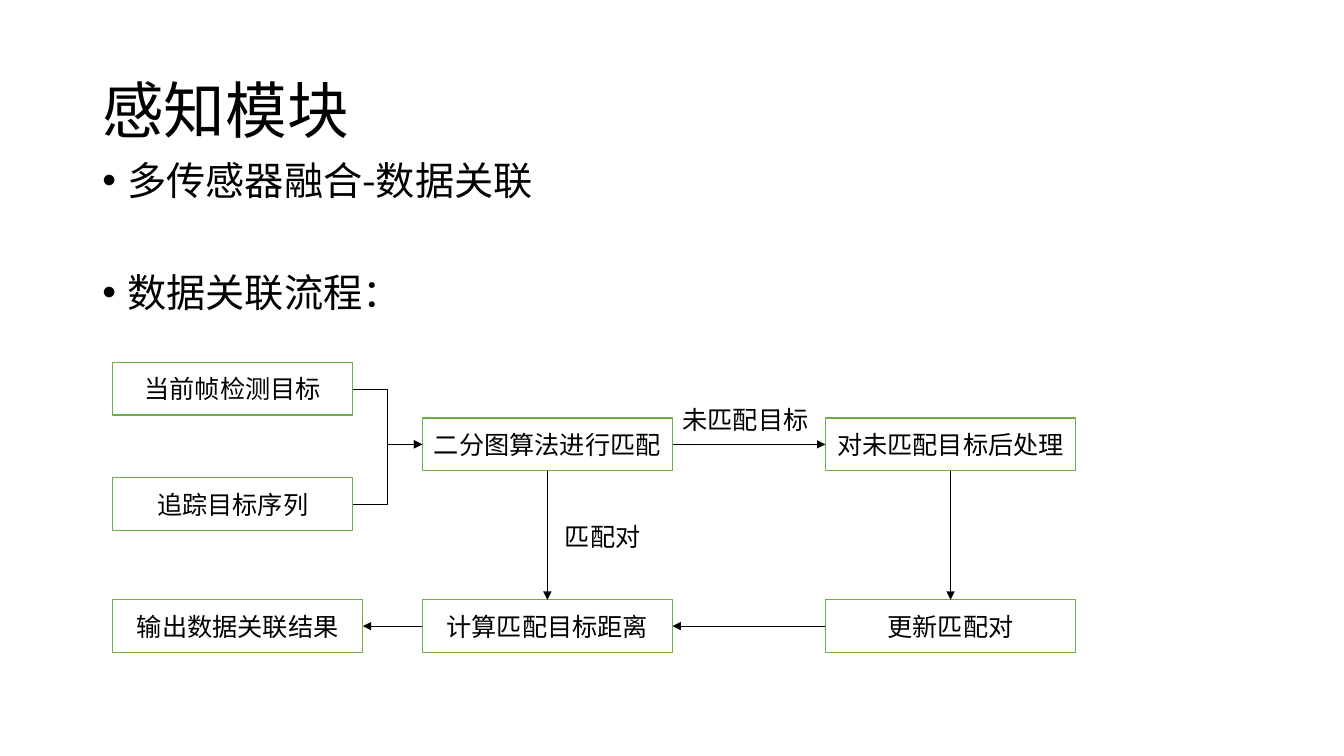
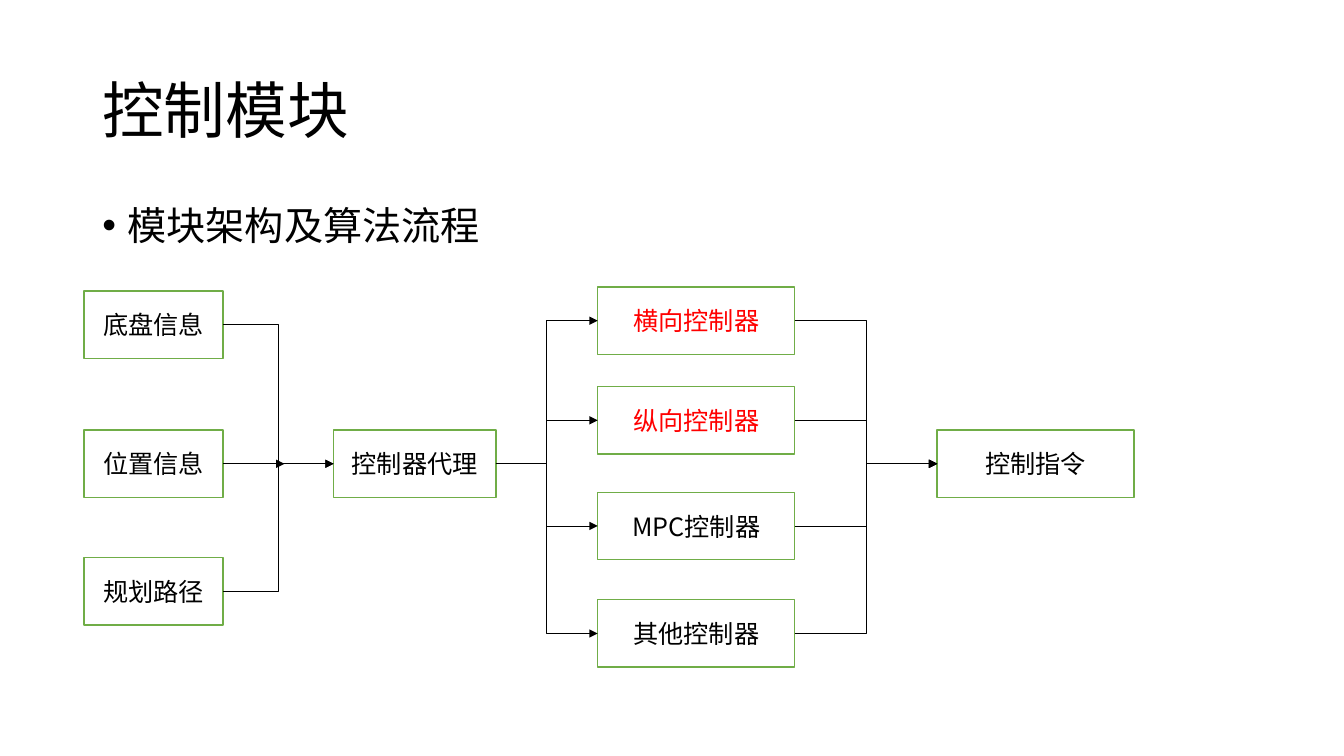
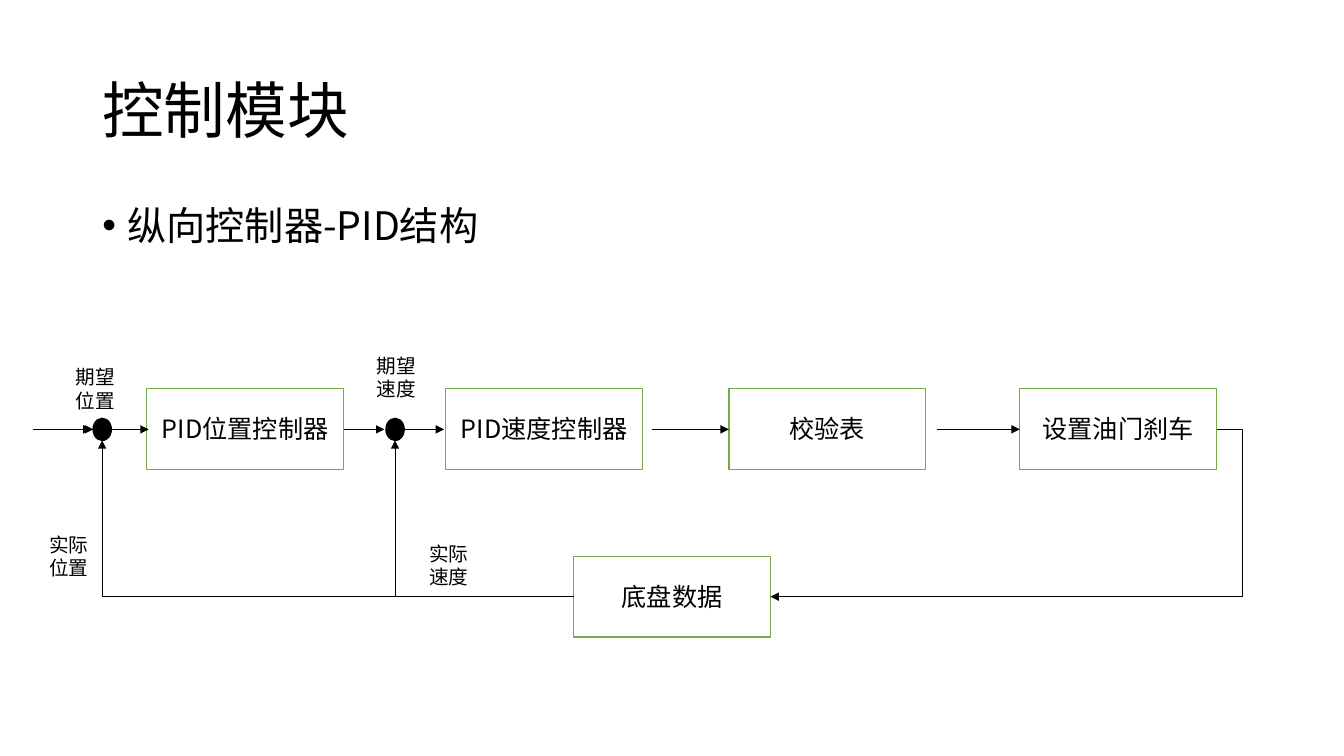
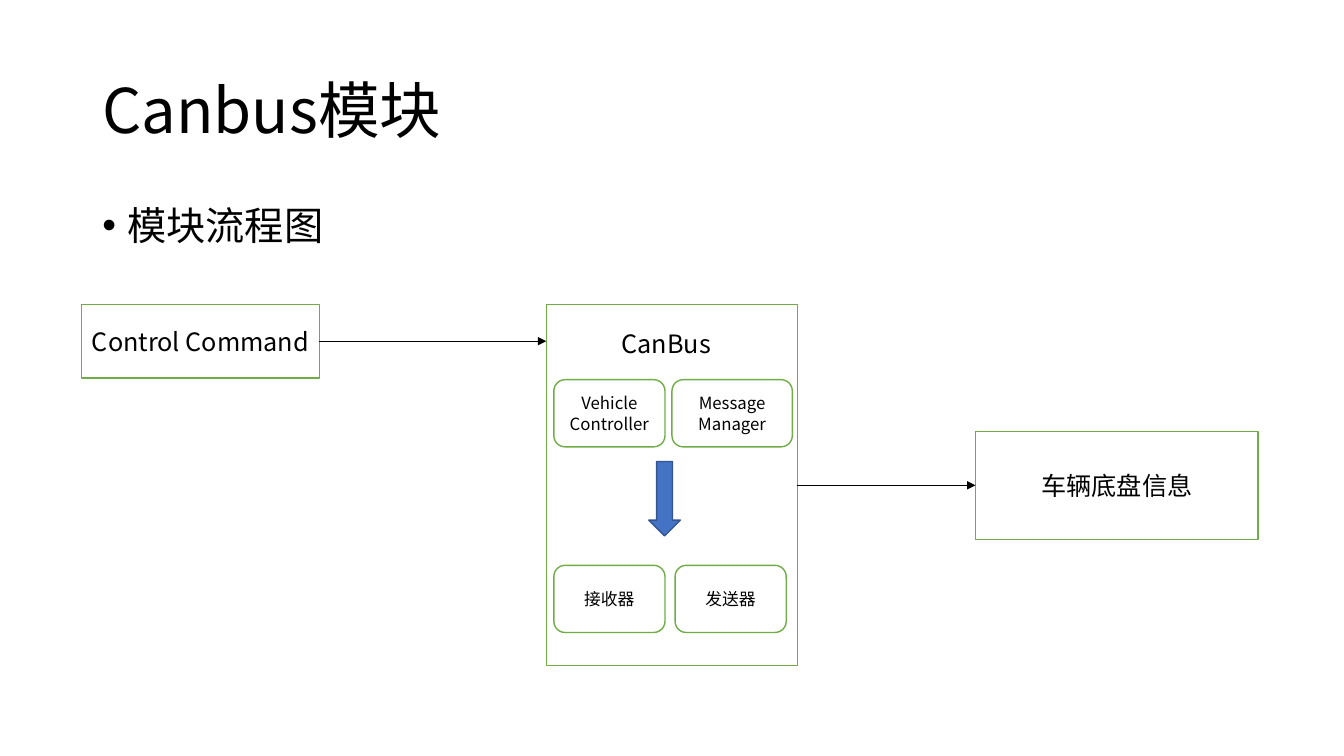
from dataclasses import dataclass

from lxml import etree
from pptx import Presentation
from pptx.dml.color import RGBColor
from pptx.enum import shapes, text
from pptx.oxml import ns
from pptx.util import Pt


@dataclass(frozen=True)
class Theme:
    font: str = "Noto Sans CJK SC"
    ink: str = "000000"
    paper: str = "FFFFFF"
    green: str = "70AD47"
    red: str = "FF0000"
    blue: str = "4472C4"
    blue_edge: str = "325491"
    title: int = 44
    body: int = 28
    label: int = 18
    note: int = 14
    small: int = 12
    edge: float = 1
    wire: float = 0.5
    leading: float = 0.9


@dataclass(frozen=True)
class Box:
    x: float
    y: float
    w: float
    h: float

    def sub(self, dx, dy, w, h):
        return Box(self.x + dx, self.y + dy, w, h)

    def lengths(self):
        return [Pt(v) for v in (self.x, self.y, self.w, self.h)]


T = Theme()
MSO = shapes.MSO_SHAPE
CENTER = text.PP_ALIGN.CENTER
TOP, LEFT, BOTTOM, RIGHT = range(4)  # connection sites of a rectangle

SLIDE = Box(0, 0, 960, 540)
TITLE = SLIDE.sub(66, 28.8, 828, 104.4)
BODY = SLIDE.sub(66, 144, 828, 342.7)


# ---- shared parts ----
def add_run(p, words, size, color=T.ink):
    r = p.add_run()
    r.text = words
    r.font.size = Pt(size)
    r.font.name = T.font
    r.font.color.rgb = RGBColor.from_string(color)
    ea = etree.SubElement(r.font._element, ns.qn("a:ea"))
    ea.set("typeface", T.font)


def add_text(s, box, words, size):
    tf = s.shapes.add_textbox(*box.lengths()).text_frame
    tf.word_wrap = True
    add_run(tf.paragraphs[0], words, size)
    return tf


def add_node(s, box, words="", size=T.label, color=T.ink, kind=MSO.RECTANGLE,
             fill=T.paper, line=T.green):
    sp = s.shapes.add_shape(kind, *box.lengths())
    sp.shadow.inherit = False
    sp.fill.solid()
    sp.fill.fore_color.rgb = RGBColor.from_string(fill)
    sp.line.color.rgb = RGBColor.from_string(line)
    sp.line.width = Pt(T.edge)
    if words:
        tf = sp.text_frame
        tf.word_wrap = True
        tf.vertical_anchor = text.MSO_ANCHOR.MIDDLE
        p = tf.paragraphs[0]
        p.alignment = CENTER
        add_run(p, words, size, color)
    return sp


def add_arrow(s, start, end, kind=shapes.MSO_CONNECTOR.STRAIGHT):
    c = s.shapes.add_connector(kind, *[Pt(v) for v in (*start, *end)])
    c.line.color.rgb = RGBColor.from_string(T.ink)
    c.line.width = Pt(T.wire)
    etree.SubElement(c.line._get_or_add_ln(), ns.qn("a:tailEnd")).set("type", "triangle")
    etree.SubElement(c._element.spPr, ns.qn("a:effectLst"))
    return c


def add_elbow(s, start, end, preset="bentConnector3", bend=None):
    c = add_arrow(s, start, end, shapes.MSO_CONNECTOR.ELBOW)
    geom = c._element.spPr.find(ns.qn("a:prstGeom"))
    geom.set("prst", preset)
    if bend is not None:
        guide = etree.SubElement(geom.get_or_add_avLst(), ns.qn("a:gd"))
        guide.set("name", "adj1")
        guide.set("fmla", f"val {round(bend * 100000)}")
    return c


def link(s, a, b, out=RIGHT, into=LEFT, elbow=False):
    c = (add_elbow if elbow else add_arrow)(s, (0, 0), (0, 0))
    c.begin_connect(a, out)
    c.end_connect(b, into)


def add_title(s, box, words):
    tf = add_text(s, box, words, T.title)
    tf.vertical_anchor = text.MSO_ANCHOR.MIDDLE
    tf.paragraphs[0].line_spacing = T.leading


def add_bullets(s, box, items, gap=10):
    tf = s.shapes.add_textbox(*box.lengths()).text_frame
    tf.word_wrap = True
    for i, words in enumerate(items):
        p = tf.paragraphs[0] if i == 0 else tf.add_paragraph()
        p.line_spacing = T.leading
        p.space_before = Pt(gap if i else 10)
        pPr = p._p.get_or_add_pPr()
        pPr.set("marL", str(Pt(18)))
        pPr.set("indent", str(-Pt(18)))
        etree.SubElement(pPr, ns.qn("a:buFont")).set("typeface", "Arial")
        etree.SubElement(pPr, ns.qn("a:buChar")).set("char", "•")
        add_run(p, words, T.body)


# ---- diagrams ----
def association_flow(s, box):
    h, w, narrow = 37.6, 178.8, 171.6
    left, mid, right = 0, 221.2, 509.2
    match_y, result_y = 39.6, 169.4

    def node(x, y, words, width=w):
        return add_node(s, box.sub(x, y, width, h), words)

    inputs = [node(left, 0, "当前帧检测目标", narrow),
              node(left, 82.3, "追踪目标序列", narrow)]
    match = node(mid, match_y, "二分图算法进行匹配")
    unmatched = node(right, match_y, "对未匹配目标后处理")
    update = node(right, result_y, "更新匹配对")
    distance = node(mid, result_y, "计算匹配目标距离")
    output = node(left, result_y, "输出数据关联结果")

    for source in inputs:
        link(s, source, match, elbow=True)
    link(s, match, unmatched)
    for upper, lower in ((unmatched, update), (match, distance)):
        link(s, upper, lower, BOTTOM, TOP)
    for a, b in ((update, distance), (distance, output)):
        link(s, a, b, LEFT, RIGHT)

    add_text(s, box.sub(mid + w, 26.6, 109.4, 29), "未匹配目标", T.label)
    add_text(s, box.sub(316, 109.6, 95, 29), "匹配对", T.label)


def controller_flow(s, box):
    h, wide, axis = 48.2, 140.6, 102.2

    def column(x, w, rows):
        return [add_node(s, box.sub(x, y, w, h), words, color=color)
                for y, words, color in rows]

    inputs = column(0, 99.4, [(2.9, "底盘信息", T.ink),
                              (axis, "位置信息", T.ink),
                              (193.2, "规划路径", T.ink)])
    agent, = column(178.3, 115.9, [(axis, "控制器代理", T.ink)])
    controllers = column(367, wide, [(0, "横向控制器", T.red),
                                     (71.2, "纵向控制器", T.red),
                                     (146.6, "MPC控制器", T.ink),
                                     (223.4, "其他控制器", T.ink)])
    command, = column(609.4, wide, [(axis, "控制指令", T.ink)])

    for source in (inputs[0], inputs[-1]):
        link(s, source, agent, elbow=True)
    y = box.y + axis + h / 2
    add_arrow(s, (box.x + 99.4, y), (box.x + 143.2, y))
    for controller in controllers:
        link(s, agent, controller, elbow=True)
        link(s, controller, command, elbow=True)


def pid_loop(s, box):
    w, h, top, axis = 140.6, 57.6, 28.4, 57.5
    dot_w, dot_h = 13, 15.8
    chassis_x, chassis_y = 386.4, 148.2
    return_y = chassis_y + h / 2
    chain = {81.4: "PID位置控制器", 295: "PID速度控制器",
             497.2: "校验表", 705: "设置油门刹车"}

    def at(x, y=axis):
        return box.x + x, box.y + y

    for x, words in chain.items():
        add_node(s, box.sub(x, top, w, h), words)
    add_node(s, box.sub(chassis_x, chassis_y, w, h), "底盘数据")

    # Summing points
    sums = (49.6, 258.8)
    for x in sums:
        add_node(s, box.sub(x - dot_w / 2, axis - dot_h / 2, dot_w, dot_h),
                 kind=MSO.OVAL, fill=T.ink, line=T.ink)

    # Forward path
    for x1, x2 in ((0, 42), (0.8, 43.2), (40.4, 82.8), (222, 251.2),
                   (265.2, 293.8), (442, 497.2), (646, 705)):
        add_arrow(s, at(x1), at(x2))

    # Feedback path
    add_elbow(s, at(705 + w), at(chassis_x + w, return_y), bend=-0.057)
    for x in reversed(sums):
        add_elbow(s, at(chassis_x, return_y), at(x, axis + dot_h / 2), "bentConnector2")

    for x, y, words in ((23.6, 8, "期望位置"), (4.8, 127.6, "实际位置"),
                        (238.4, 0, "期望速度"), (276, 134.2, "实际速度")):
        add_text(s, box.sub(x, y, 47.5, 41), words, T.note)


def canbus_flow(s, box):
    bus_x, bus_w, part_w, part_h = 332, 179.4, 79.4, 48
    command = add_node(s, box.sub(0, 0, 170, 52.6), "Control Command")
    add_node(s, box.sub(bus_x, 0, bus_w, 257.8))
    add_node(s, box.sub(638.6, 90.6, 201.8, 77.4), "车辆底盘信息")

    # Parts inside the bus
    add_text(s, box.sub(378.8, 13.8, 105, 29), "CanBus", T.label)
    for x, y, w, words in ((5.4, 53.8, part_w, "Vehicle Controller"),
                           (89.8, 53.8, 86, "Message Manager"),
                           (5.4, 186.4, part_w, "接收器"),
                           (92, 186.4, part_w, "发送器")):
        add_node(s, box.sub(bus_x + x, y, w, part_h), words, T.small,
                 kind=MSO.ROUNDED_RECTANGLE)
    add_node(s, box.sub(405.2, 112.2, 22.6, 53.2), kind=MSO.DOWN_ARROW,
             fill=T.blue, line=T.blue_edge)

    for x1, x2, y in ((170, bus_x, 26.3), (bus_x + bus_w, 638.6, 129.3)):
        add_arrow(s, (box.x + x1, box.y + y), (box.x + x2, box.y + y))


# ---- slides ----
def add_slide(prs, title, bullets, diagram, area, body=BODY, gap=10):
    s = prs.slides.add_slide(prs.slide_layouts[6])
    add_title(s, TITLE, title)
    add_bullets(s, body, bullets, gap)
    diagram(s, area)


prs = Presentation()
prs.slide_width, prs.slide_height = Pt(SLIDE.w), Pt(SLIDE.h)
add_slide(prs, "感知模块", ["多传感器融合-数据关联", "数据关联流程："],
          association_flow, Box(80.4, 259, 688, 207),
          body=SLIDE.sub(66, 111.6, 828, 428.4), gap=50)
add_slide(prs, "控制模块", ["模块架构及算法流程"],
          controller_flow, Box(60, 205, 750, 271.6))
add_slide(prs, "控制模块", ["纵向控制器-PID结构"],
          pid_loop, Box(23.4, 249.2, 864, 205.8))
add_slide(prs, "Canbus模块", ["模块流程图"],
          canbus_flow, Box(58.2, 217.4, 840.4, 257.8))
prs.save("out.pptx")
